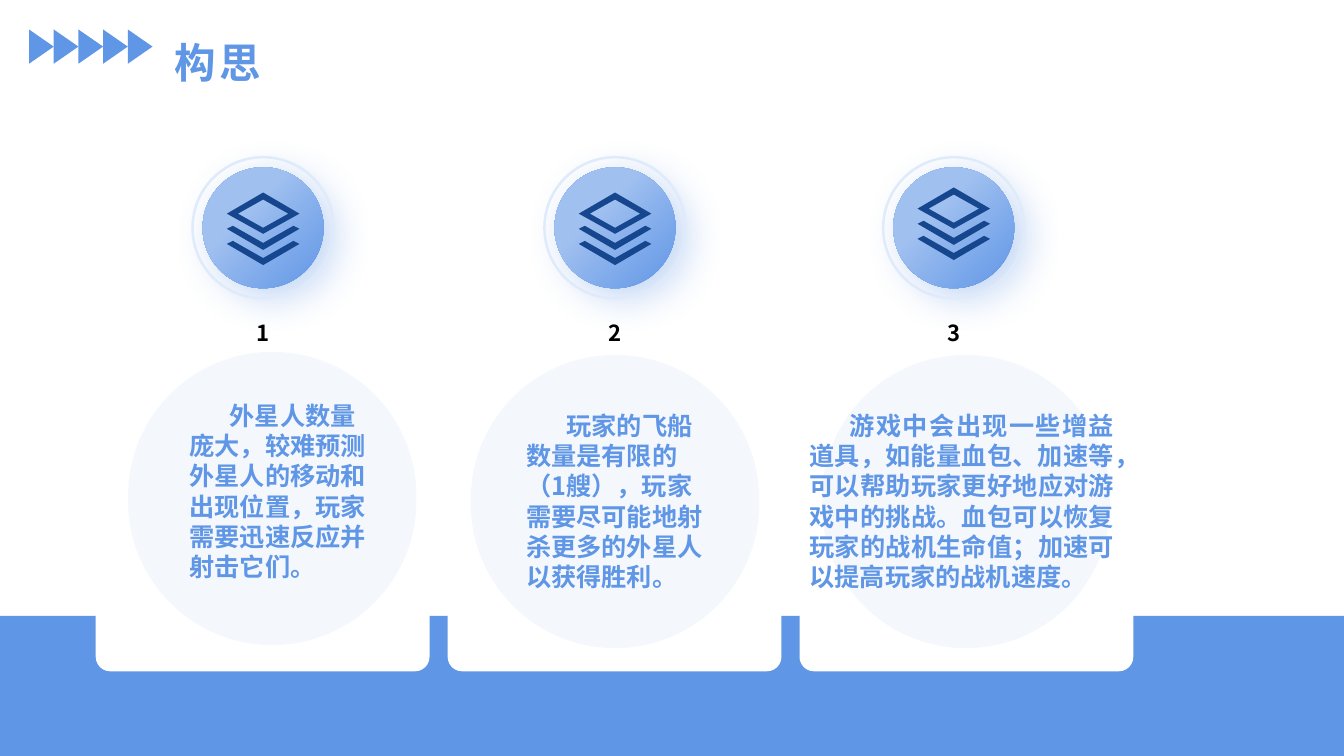
from lxml import etree
from pptx import Presentation
from pptx.dml.color import RGBColor
from pptx.enum.shapes import MSO_SHAPE
from pptx.enum.text import MSO_ANCHOR, PP_ALIGN
from pptx.oxml import parse_xml
from pptx.oxml.ns import nsdecls, qn
from pptx.util import Emu, Inches, Pt

BLUE, NAVY, PALE, WHITE, BLACK = "6096E6", "16468D", "DFEAFA", "FFFFFF", "000000"
FONT = "Noto Sans CJK SC"
RECTANGLE, ROUNDED = MSO_SHAPE.RECTANGLE, MSO_SHAPE.ROUNDED_RECTANGLE
OVAL, TRIANGLE = MSO_SHAPE.OVAL, MSO_SHAPE.ISOSCELES_TRIANGLE
LEFT, CENTER, JUSTIFY = PP_ALIGN.LEFT, PP_ALIGN.CENTER, PP_ALIGN.JUSTIFY
MIDDLE = MSO_ANCHOR.MIDDLE

presentation = Presentation()
presentation.slide_width = Inches(13.33)
presentation.slide_height = Inches(7.5)
slide = presentation.slides.add_slide(presentation.slide_layouts[6])

# Grid of 160 columns by 90 rows with square cells
COLUMNS, ROWS = 160, 90
CELL = presentation.slide_height / ROWS


def add_shape(kind, column, row, columns, rows, fill=None):
    box = [Emu(round(n * CELL)) for n in (column, row, columns, rows)]
    shape = slide.shapes.add_shape(kind, *box)
    shape.shadow.inherit = False
    shape.line.fill.background()
    if fill:
        shape.fill.solid()
        shape.fill.fore_color.rgb = RGBColor.from_string(fill)
    else:
        shape.fill.background()
    return shape


def add_text(text, column, row, columns, rows, size, color, align=LEFT):
    box = [Emu(round(n * CELL)) for n in (column, row, columns, rows)]
    text_frame = slide.shapes.add_textbox(*box).text_frame
    text_frame.word_wrap = True
    text_frame.vertical_anchor = MIDDLE
    text_frame.text = text
    paragraph = text_frame.paragraphs[0]
    paragraph.alignment = align
    font = paragraph.runs[0].font
    font.name, font.size, font.bold = FONT, Pt(size), True
    font.color.rgb = RGBColor.from_string(color)
    properties = paragraph.runs[0]._r.get_or_add_rPr()
    etree.SubElement(properties, qn("a:ea")).set("typeface", FONT)
    return paragraph


# Bottom band
add_shape(RECTANGLE, 0, 73.32, COLUMNS, ROWS - 73.32, BLUE)

# Heading with a row of arrows
for index in range(5):
    arrow = add_shape(TRIANGLE, 2.88 + 2.94 * index, 4.08, 4.08, 2.94, BLUE)
    arrow.rotation = 90
heading = add_text("构思", 19.56, 3.48, 124.08, 7.68, 29.6, BLUE)
heading.runs[0]._r.get_or_add_rPr().set("spc", "300")

# Icon outlines in hundredths of an inch, from the middle of the icon's top
CHEVRON = [(30, 33), (36, 36), (0, 57), (-36, 36), (-30, 33), (0, 50)]
ICON = [
    [(x, y + 15) for x, y in CHEVRON],
    CHEVRON,
    [(0, 0), (36, 21), (0, 41), (-36, 21)],
    [(0, 7), (-25, 21), (0, 35), (25, 21)],
]

# Each idea: badge centre, icon top, bubble corner, text box, alignment, words
ideas = [
    (31.32, 22.92, (15.24, 41.88), (21.36, 44.76, 23.4, 27.36), LEFT,
     "外星人数量庞大，较难预测外星人的移动和出现位置，玩家需要迅速反应并射击它们。"),
    (73.2, 22.92, (56.04, 42.24), (61.44, 45.96, 23.4, 27.36), LEFT,
     "玩家的飞船数量是有限的（1艘），玩家需要尽可能地射杀更多的外星人以获得胜利。"),
    (113.52, 22.32, (97.8, 42.24), (95.16, 45.96, 38.64, 27.36), JUSTIFY,
     "游戏中会出现一些增益道具，如能量血包、加速等，可以帮助玩家更好地应对游戏中的挑战。"
     "血包可以恢复玩家的战机生命值；加速可以提高玩家的战机速度。"),
]
BADGE_ROW, DISC, RING = 27.12, 14.4, 16.8

for index, (center, icon_top, bubble_corner, text_box, align, words) in enumerate(ideas):
    # Card
    card = add_shape(ROUNDED, 11.4 + 41.88 * index, 23.16, 39.72, 56.76, WHITE)
    card.adjustments[0] = 0.043

    # Badge: shaded disc with a soft glow, and a ring
    disc = add_shape(OVAL, center - DISC / 2, BADGE_ROW - DISC / 2, DISC, DISC, BLUE)
    disc_properties = disc._element.spPr
    disc_properties.replace(disc_properties.find(qn("a:solidFill")), parse_xml(
        f'<a:gradFill {nsdecls("a")} rotWithShape="1"><a:gsLst>'
        '<a:gs pos="35000"><a:srgbClr val="A0C0F0"/></a:gs>'
        f'<a:gs pos="100000"><a:srgbClr val="{BLUE}"/></a:gs></a:gsLst>'
        '<a:path path="circle"><a:fillToRect r="100000" b="100000"/></a:path>'
        '</a:gradFill>'))
    disc_properties.find(qn("a:effectLst")).append(parse_xml(
        f'<a:outerShdw {nsdecls("a")} blurRad="{Pt(29)}" dist="{Pt(10)}" '
        f'dir="{40 * 60000}" algn="ctr" rotWithShape="0"><a:srgbClr val="{BLUE}">'
        '<a:alpha val="40000"/></a:srgbClr></a:outerShdw>'))
    ring = add_shape(OVAL, center - RING / 2, BADGE_ROW - RING / 2, RING, RING)
    ring.line.color.rgb = RGBColor.from_string(PALE)
    ring.line.width = Pt(1.75)

    # Layers icon
    builder = slide.shapes.build_freeform(*ICON[0][0], scale=Inches(0.01))
    for number, outline in enumerate(ICON):
        if number:
            builder.move_to(*outline[0])
        builder.add_line_segments(outline[1:], close=True)
    icon = builder.convert_to_shape(round(center * CELL), round(icon_top * CELL))
    icon.shadow.inherit = False
    icon.fill.solid()
    icon.fill.fore_color.rgb = RGBColor.from_string(NAVY)
    icon.line.fill.background()

    # Number
    add_text(str(index + 1), center - 13.38, 36.96, 26.76, 5.28, 15.8, BLACK, CENTER)

    # Translucent bubble
    bubble = add_shape(ROUNDED, *bubble_corner, 34.32, 34.92, PALE)
    bubble.adjustments[0] = 0.5
    bubble_color = bubble._element.spPr.find(qn("a:solidFill"))[0]
    etree.SubElement(bubble_color, qn("a:alpha")).set("val", "33000")

    # Description with an indented first line
    description = add_text(words, *text_box, 18, BLUE, align)
    description.line_spacing = Pt(21.6)
    description._p.get_or_add_pPr().set("indent", str(Inches(0.4)))

presentation.save("out.pptx")
